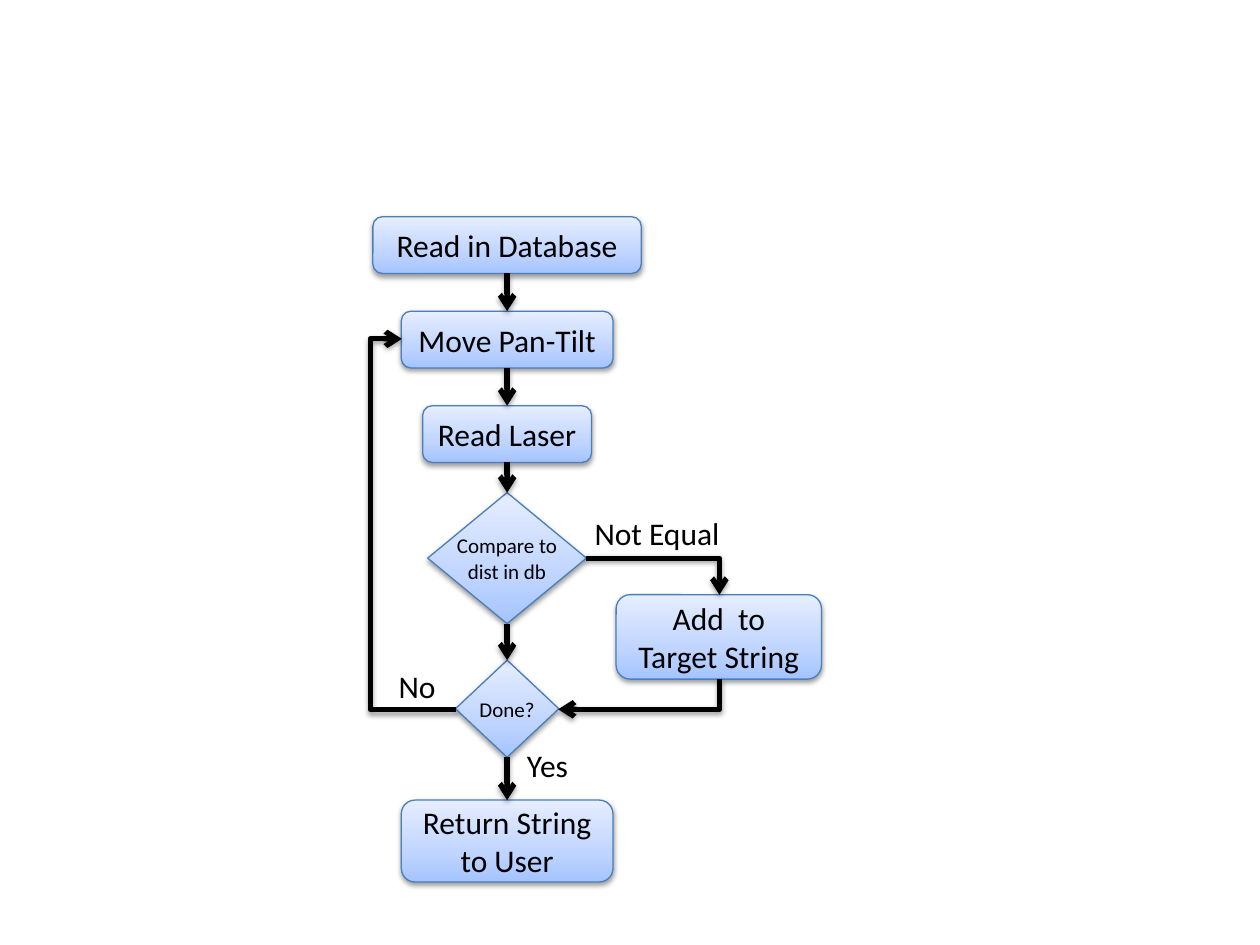
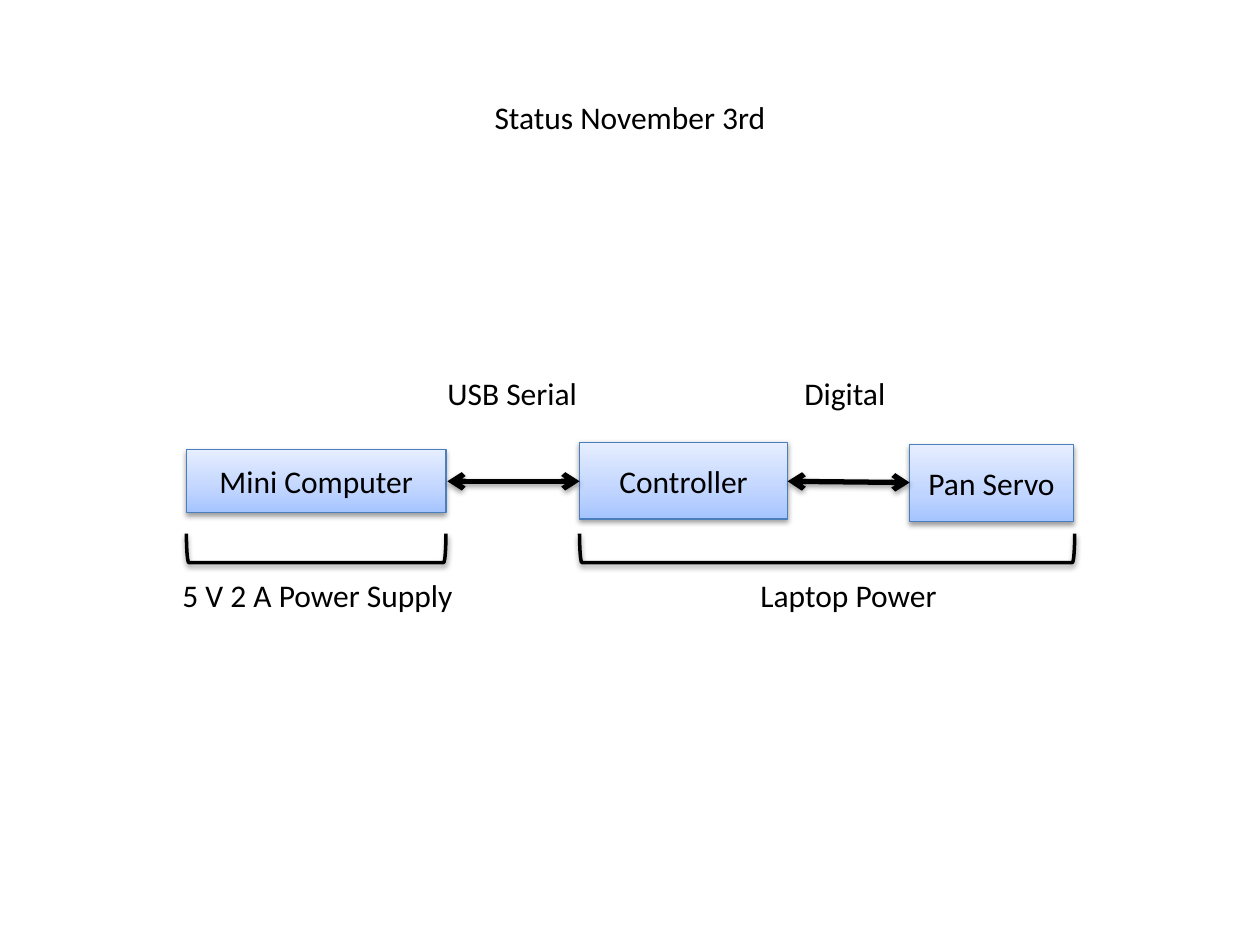
from lxml import etree
from pptx import Presentation
from pptx.dml.color import RGBColor
from pptx.enum.shapes import MSO_CONNECTOR, MSO_SHAPE
from pptx.enum.text import MSO_ANCHOR, PP_ALIGN
from pptx.oxml.ns import qn
from pptx.util import Inches, Pt

ROUND, RECT, DIAMOND = MSO_SHAPE.ROUNDED_RECTANGLE, MSO_SHAPE.RECTANGLE, MSO_SHAPE.DIAMOND
BRACKET = MSO_SHAPE.LEFT_BRACKET
STRAIGHT, ELBOW = MSO_CONNECTOR.STRAIGHT, MSO_CONNECTOR.ELBOW
CENTER, MIDDLE = PP_ALIGN.CENTER, MSO_ANCHOR.MIDDLE

BLACK, EDGE = "000000", "4B7EBC"
GRADIENT = [(0, "A4C4FF"), (35, "BFD4FF"), (100, "E6EEFF")]
FONT = "Calibri"


def rgb(value):
    return RGBColor.from_string(value)


def write(tf, text, size=18, wrap=False):
    tf.word_wrap = wrap
    tf.vertical_anchor = MIDDLE
    for i, line in enumerate(text.split("\n")):
        p = tf.add_paragraph() if i else tf.paragraphs[0]
        p.alignment = CENTER
        r = p.add_run()
        r.text = line
        r.font.name, r.font.size = FONT, Pt(size)
        r.font.color.rgb = rgb(BLACK)


prs = Presentation()
prs.slide_width, prs.slide_height = Inches(10), Inches(7.5)
U = prs.slide_width // 100  # grid of 100 columns by 75 rows

flow = prs.slides.add_slide(prs.slide_layouts[6])
status = prs.slides.add_slide(prs.slide_layouts[5])

# Status title
s = status.shapes.title
s.left, s.top, s.width, s.height = [int(U * v) for v in (35, 7.3, 30, 4)]
write(s.text_frame, "Status November 3rd")

# Flow steps on one vertical axis: shape, text, size, top, width, height
AXIS = 40.25
steps = [
    (ROUND, "Read in Database", 18, 17.2, 21.3, 4.5),
    (ROUND, "Move Pan-Tilt", 18, 24.7, 16.8, 4.5),
    (ROUND, "Read Laser", 18, 32.2, 13.4, 4.5),
    (DIAMOND, "Compare to\ndist in db", 12, 39.1, 12.6, 10.4),
    (DIAMOND, "Done?", 12, 52.4, 8.2, 7.7),
    (ROUND, "Return String to User", 18, 63.5, 16.8, 6.5),
]
boxes = [(flow, kind, text, size, AXIS - w / 2, y, w, h)
         for kind, text, size, y, w, h in steps]
boxes.append((flow, ROUND, "Add  to Target String", 18, 48.9, 47.2, 16.3, 6.7))

# Hardware blocks
boxes += [
    (status, RECT, "Mini Computer", 18, 14.8, 35.7, 20.6, 5),
    (status, RECT, "Controller", 18, 46, 35.1, 16.5, 6.1),
    (status, RECT, "Pan Servo", 18, 72.2, 35.3, 13, 6.1),
]
for slide, kind, text, size, x, y, w, h in boxes:
    s = slide.shapes.add_shape(kind, *[int(U * v) for v in (x, y, w, h)])
    s.fill.gradient()
    s.fill.gradient_angle = 90
    stops = s._element.spPr.find(qn("a:gradFill")).find(qn("a:gsLst"))
    for gs in list(stops):
        stops.remove(gs)
    for pos, value in GRADIENT:
        gs = etree.SubElement(stops, qn("a:gs"), pos=str(pos * 1000))
        etree.SubElement(gs, qn("a:srgbClr"), val=value)
    s.line.color.rgb, s.line.width = rgb(EDGE), Pt(0.75)
    if kind == DIAMOND:
        tf = s.text_frame
        tf.margin_left = tf.margin_right = tf.margin_top = tf.margin_bottom = 0
    write(s.text_frame, text, size, wrap=kind == ROUND)

# Links: slide, from x, y, to x, y, preset, adjustment, rotation, both ends
links = [(flow, AXIS, a[3] + a[5], AXIS, b[3], "line", None, 0, False)
         for a, b in zip(steps, steps[1:])]
links += [
    (flow, 36.2, 56.3, 31.9, 26.9, "bentConnector3", 158400, 0, False),
    (flow, 46.5, 44.3, 57.1, 47.2, "bentConnector2", None, 0, False),
    (flow, 49.5, 48.7, 51.9, 61.5, "bentConnector2", None, 90, False),
    (status, 46, 38.2, 35.5, 38.2, "line", None, 0, True),
    (status, 72.2, 38.3, 62.5, 38.2, "line", None, 0, True),
]
for slide, x1, y1, x2, y2, preset, adj, turn, both in links:
    kind = STRAIGHT if preset == "line" else ELBOW
    s = slide.shapes.add_connector(kind, *[int(U * v) for v in (x1, y1, x2, y2)])
    s.line.color.rgb, s.line.width = rgb(BLACK), Pt(3)
    spPr = s._element.spPr
    geom = spPr.find(qn("a:prstGeom"))
    geom.set("prst", preset)
    if adj:
        etree.SubElement(geom.find(qn("a:avLst")), qn("a:gd"),
                         name="adj1", fmla=f"val {adj}")
    if turn:
        spPr.find(qn("a:xfrm")).set("rot", str(turn * 60000))
    ln = spPr.find(qn("a:ln"))
    for end in ("a:headEnd", "a:tailEnd") if both else ("a:tailEnd",):
        etree.SubElement(ln, qn(end), type="arrow")
    etree.SubElement(spPr, qn("a:effectLst"))

# Power brackets, turned to open upwards
DEPTH = 2.3
for x, w in ((14.8, 20.6), (46, 39.3)):
    shift = (w - DEPTH) / 2
    s = status.shapes.add_shape(
        BRACKET, *[int(U * v) for v in (x + shift, 42.35 - shift, DEPTH, w)])
    s.rotation = 270
    s.fill.background()
    s.line.color.rgb, s.line.width = rgb(BLACK), Pt(2)

# Soft shadow under every drawn shape and link
for slide in (flow, status):
    for s in slide.shapes:
        if s.is_placeholder:
            continue
        spPr = s._element.spPr
        if spPr.find(qn("a:effectLst")) is None:
            s.shadow.inherit = False
        drop = etree.SubElement(
            spPr.find(qn("a:effectLst")), qn("a:outerShdw"), blurRad=str(Pt(3.1)),
            dist=str(Pt(1.6)), dir="5400000", rotWithShape="0")
        c = etree.SubElement(drop, qn("a:srgbClr"), val=BLACK)
        etree.SubElement(c, qn("a:alpha"), val="38000")

# Free labels
labels = [
    (flow, "Not Equal", 46.1, 40.3, 12.1),
    (flow, "Yes", 40.7, 58.7, 5.5),
    (flow, "No", 30.6, 52.4, 5),
    (status, "USB Serial", 34.2, 29.2, 12.9),
    (status, "Digital", 62.6, 29.2, 8.9),
    (status, "5 V 2 A Power Supply", 13.3, 45.2, 23.8),
    (status, "Laptop Power", 59.2, 45.2, 16.3),
]
for slide, text, x, y, w in labels:
    s = slide.shapes.add_textbox(*[int(U * v) for v in (x, y, w, 4)])
    write(s.text_frame, text)

prs.save("out.pptx")
